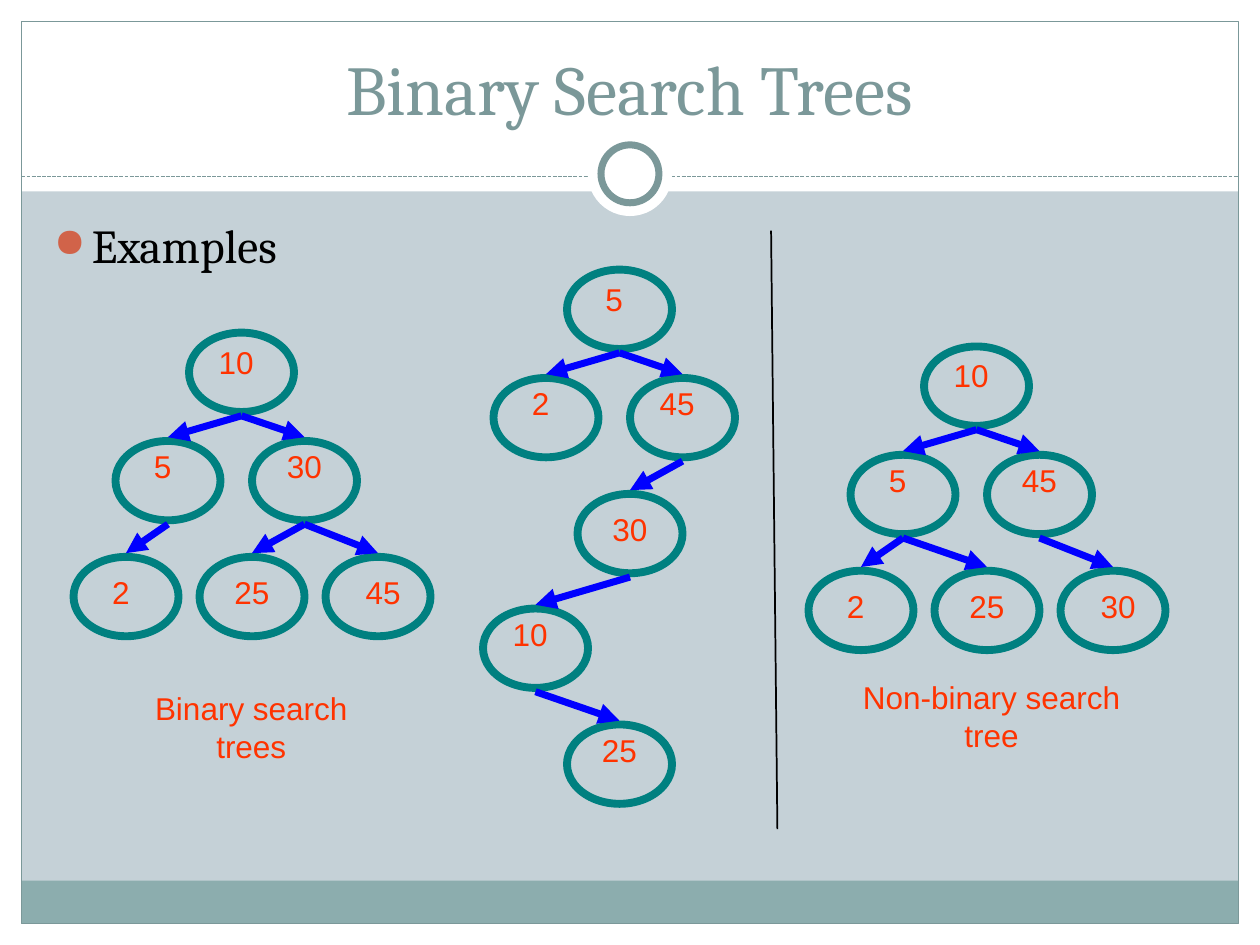
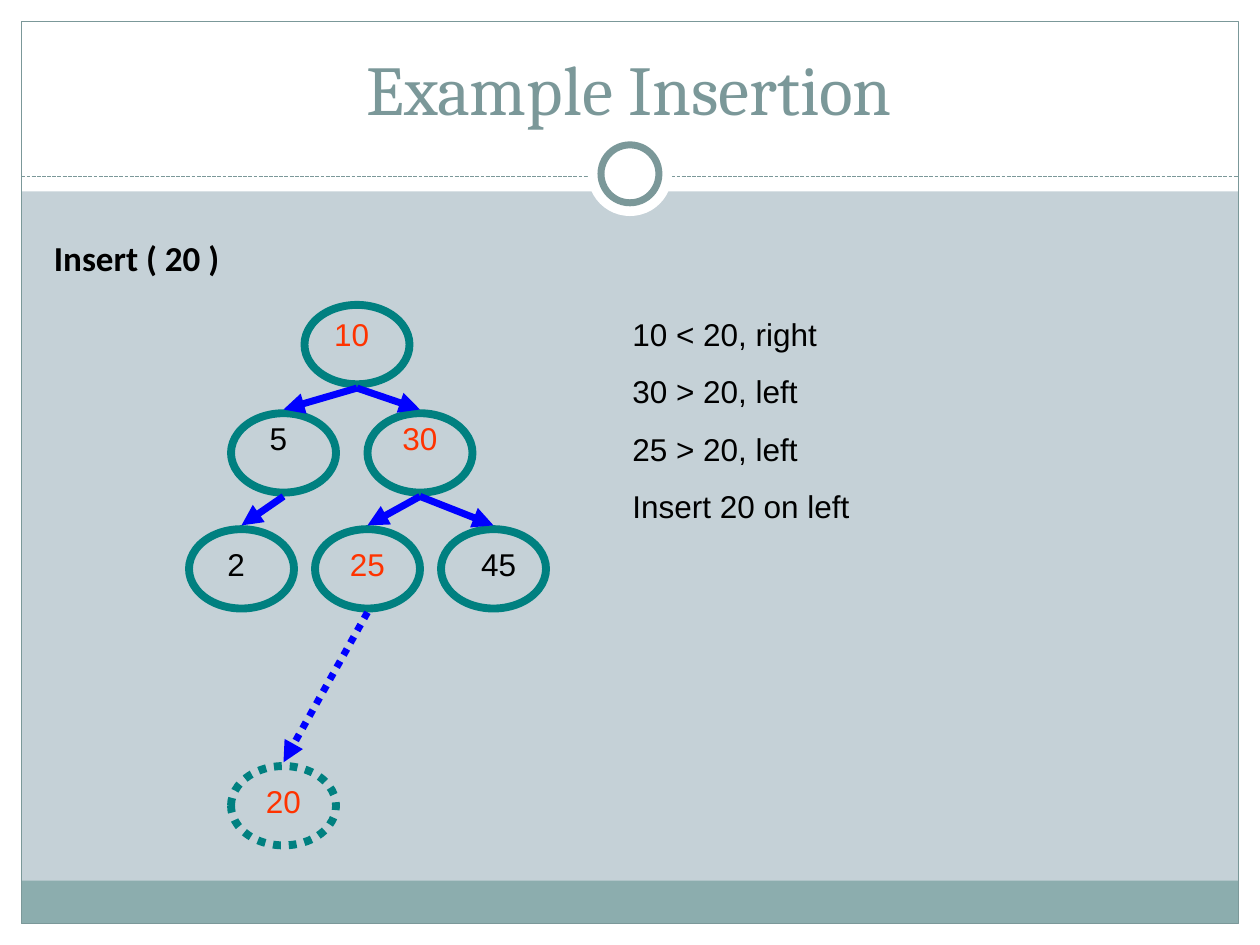
from lxml import etree
from pptx import Presentation
from pptx import util as u
from pptx.dml.color import RGBColor
from pptx.enum import dml, shapes, text
from pptx.oxml import ns

SLATE = RGBColor(0x7B, 0x98, 0x99)
SAGE = RGBColor(0x8C, 0xAD, 0xAE)
MIST = RGBColor(0xC5, 0xD1, 0xD7)
WHITE = RGBColor(0xFF, 0xFF, 0xFF)
BLACK = RGBColor(0x00, 0x00, 0x00)
TEAL = RGBColor(0x00, 0x80, 0x80)
BLUE = RGBColor(0x00, 0x00, 0xFF)
ORANGE = RGBColor(0xFF, 0x33, 0x00)

W, H = 10, 7.5
MARGIN = 0.17
COL = 1 / 12  # tree grid column, inches
NODE_W, NODE_H = 10 * COL, 0.63
EDGE_GAP = 0.03
LABEL_H = 0.4

# Per level: node top below the root's top, label top below the node's top
LEVELS = [(0, 0.03), (0.86, 0), (1.78, 0.08), (2.69, 0), (3.61, 0), (3.66, 0.08)]

# Node slots: column, level, label shift in columns
THREE_LEVELS = [(18, 0, -0.5), (11, 1, -0.5), (24, 1, 0),
                (7, 2, -0.5), (19, 2, 0), (31, 2, 0.5)]
ZIGZAG = [(54, 0, -0.5), (47, 1, -0.5), (60, 1, -0.5),
          (55, 2, 0), (46, 3, -0.5), (54, 4, 0)]
NEW_LEAF = (11, 5, 0)


def add_xml(parent, tag, **attrs):
    return etree.SubElement(parent, ns.qn(tag), attrs)


def style_line(line, color, width, dash=None):
    line.color.rgb = color
    line.width = u.Pt(width)
    if dash:
        line.dash_style = dash


def add_figure(slide, kind, x, y, w, h, fill=None, line=None):
    """Add a preset shape; line is (color, width[, dash])."""
    sp = slide.shapes.add_shape(kind, *map(u.Inches, (x, y, w, h)))
    sp.shadow.inherit = False
    if fill is None:
        sp.fill.background()
    else:
        sp.fill.solid()
        sp.fill.fore_color.rgb = fill
    if line:
        style_line(sp.line, *line)
    else:
        sp.line.fill.background()
    return sp


def add_line(slide, start, end, color, width, dash=None, arrow=False):
    cxn = slide.shapes.add_connector(
        shapes.MSO_CONNECTOR.STRAIGHT, *map(u.Inches, (*start, *end)))
    style_line(cxn.line, color, width, dash)
    if arrow:
        add_xml(cxn.line._get_or_add_ln(), "a:tailEnd", type="triangle")
    add_xml(cxn._element.spPr, "a:effectLst")
    return cxn


def format_text(tf, size, font, color, align, bold=False, before=0):
    tf.word_wrap = True
    for p in tf.paragraphs:
        p.alignment = align
        p.space_before = u.Pt(before)
        for r in p.runs:
            r.font.size, r.font.name = u.Pt(size), font
            r.font.bold, r.font.color.rgb = bold, color


def add_text(slide, content, x, y, w, h, size=18, font="Arial", color=BLACK,
             align=text.PP_ALIGN.LEFT, **options):
    tb = slide.shapes.add_textbox(*map(u.Inches, (x, y, w, h)))
    tb.text_frame.text = content
    format_text(tb.text_frame, size, font, color, align, **options)
    return tb


def add_caption(slide, content, x, y, w, h, color=ORANGE):
    add_text(slide, content, x, y, w, h, color=color, align=text.PP_ALIGN.CENTER)


def add_bullet(p):
    pPr = p._p.get_or_add_pPr()
    pPr.set("marL", str(u.Inches(0.3)))
    pPr.set("indent", str(u.Inches(-0.3)))
    add_xml(add_xml(pPr, "a:buClr"), "a:srgbClr", val="D16349")
    add_xml(pPr, "a:buSzPct", val="85000")
    add_xml(pPr, "a:buChar", char="●")


def build_frame(slide, layout):
    """Draw the white border, bands and ring, then move them to the layout."""
    rect, oval = shapes.MSO_SHAPE.RECTANGLE, shapes.MSO_SHAPE.OVAL
    inner = W - 2 * MARGIN
    parts = [
        add_figure(slide, rect, *box, fill=WHITE)
        for box in [(0, H - MARGIN, W, MARGIN), (0, 0, W, 1.52),
                    (0, 0, MARGIN, H), (W - MARGIN, 0, MARGIN, H)]]
    parts += [
        add_figure(slide, rect, MARGIN, 6.99, inner, 0.34, fill=SAGE),
        add_figure(slide, rect, MARGIN, MARGIN, inner, H - 2 * MARGIN,
                   line=(SLATE, 0.75)),
        add_line(slide, (MARGIN, 1.4), (W - MARGIN, 1.4), SLATE, 0.75,
                 dml.MSO_LINE.SQUARE_DOT)]
    for size, line in [(0.67, None), (0.46, (SLATE, 4))]:
        parts.append(add_figure(slide, oval, (W - size) / 2, 1.38 - size / 2,
                                size, size, WHITE, line))
    for ph in list(layout.placeholders):
        if ph.placeholder_format.type != shapes.PP_PLACEHOLDER.TITLE:
            ph._element.getparent().remove(ph._element)
    for i, part in enumerate(parts):
        layout.shapes._spTree.insert(2 + i, part._element)


def add_titled_slide(prs, layout, title):
    slide = prs.slides.add_slide(layout)
    sp = slide.shapes.title
    sp.left, sp.top, sp.width, sp.height = map(u.Inches, (0.33, 0.25, 9.33, 0.83))
    tf = sp.text_frame
    tf.text = title
    tf.auto_size = text.MSO_AUTO_SIZE.NONE
    tf.vertical_anchor = text.MSO_ANCHOR.BOTTOM
    format_text(tf, 40, "Cambria", SLATE, text.PP_ALIGN.CENTER)
    return slide


def add_node(slide, value, x, y, drop, shift, color, dash):
    add_figure(slide, shapes.MSO_SHAPE.OVAL, x, y, NODE_W, NODE_H,
               line=(TEAL, 4.5, dash))
    w = 0.42 if len(value) == 1 else 0.67
    add_caption(slide, value, x + (NODE_W - w) / 2 + shift * COL, y + drop,
                w, LABEL_H, color)


def add_tree(slide, slots, values, parents, left, top, visited=None, new=None):
    """Draw a tree; parents holds the parent's value for each node but the root.

    Values outside visited are black, and the new value is dotted.
    """
    spots = {}
    for value, parent, (col, level, shift) in zip(values, [None, *parents], slots):
        below, drop = LEVELS[level]
        x, y = (left + col) * COL, top + below
        spots[value] = x + NODE_W / 2, y
        dash = dml.MSO_LINE.ROUND_DOT if value == new else None
        color = ORANGE if visited is None or value in visited else BLACK
        add_node(slide, value, x, y, drop, shift, color, dash)
        if parent:
            px, py = spots[parent]
            add_line(slide, (px, py + NODE_H + EDGE_GAP),
                     (spots[value][0], y - EDGE_GAP), BLUE, 4, dash, arrow=True)


def fill_examples(slide):
    tb = add_text(slide, "Examples", 0.33, 1.67, 9.42, 5.83, 27, "Cambria", before=6.8)
    add_bullet(tb.text_frame.paragraphs[0])
    add_tree(slide, THREE_LEVELS, ["10", "5", "30", "2", "25", "45"],
             ["10", "10", "5", "30", "30"], 0, 2.64)
    add_tree(slide, THREE_LEVELS, ["10", "5", "45", "2", "25", "30"],
             ["10", "10", "5", "5", "45"], 70, 2.75)
    add_tree(slide, ZIGZAG, ["5", "2", "45", "30", "10", "25"],
             ["5", "5", "45", "30", "10"], 0, 2.14)
    add_caption(slide, "Binary search trees", 0.83, 5.42, 2.33, 0.7)
    add_caption(slide, "Non-binary search tree", 6.58, 5.33, 2.58, 0.7)
    add_line(slide, (6.12, 1.83), (6.17, 6.58), BLACK, 1)


def fill_insertion(slide):
    add_text(slide, "Insert ( 20 )", 0.33, 1.83, 9.3, 4.84, 20, "Calibri",
             bold=True, before=5)
    add_tree(slide, THREE_LEVELS + [NEW_LEAF],
             ["10", "5", "30", "2", "25", "45", "20"],
             ["10", "10", "5", "30", "30", "25"], 11, 2.42,
             visited=["10", "30", "25", "20"], new="20")
    steps = ["10 < 20, right", "30 > 20, left", "25 > 20, left", "Insert 20 on left"]
    add_text(slide, "\n".join(steps), 4.92, 2.45, 3.75, 1.77, before=11.2)


def main():
    prs = Presentation()
    prs.slide_width, prs.slide_height = u.Inches(W), u.Inches(H)
    bg = prs.slide_master.background.fill
    bg.solid()
    bg.fore_color.rgb = MIST
    layout = prs.slide_layouts.get_by_name("Title Only")

    examples = add_titled_slide(prs, layout, "Binary Search Trees")
    build_frame(examples, layout)
    fill_examples(examples)
    fill_insertion(add_titled_slide(prs, layout, "Example Insertion"))
    prs.save("out.pptx")


if __name__ == "__main__":
    main()
